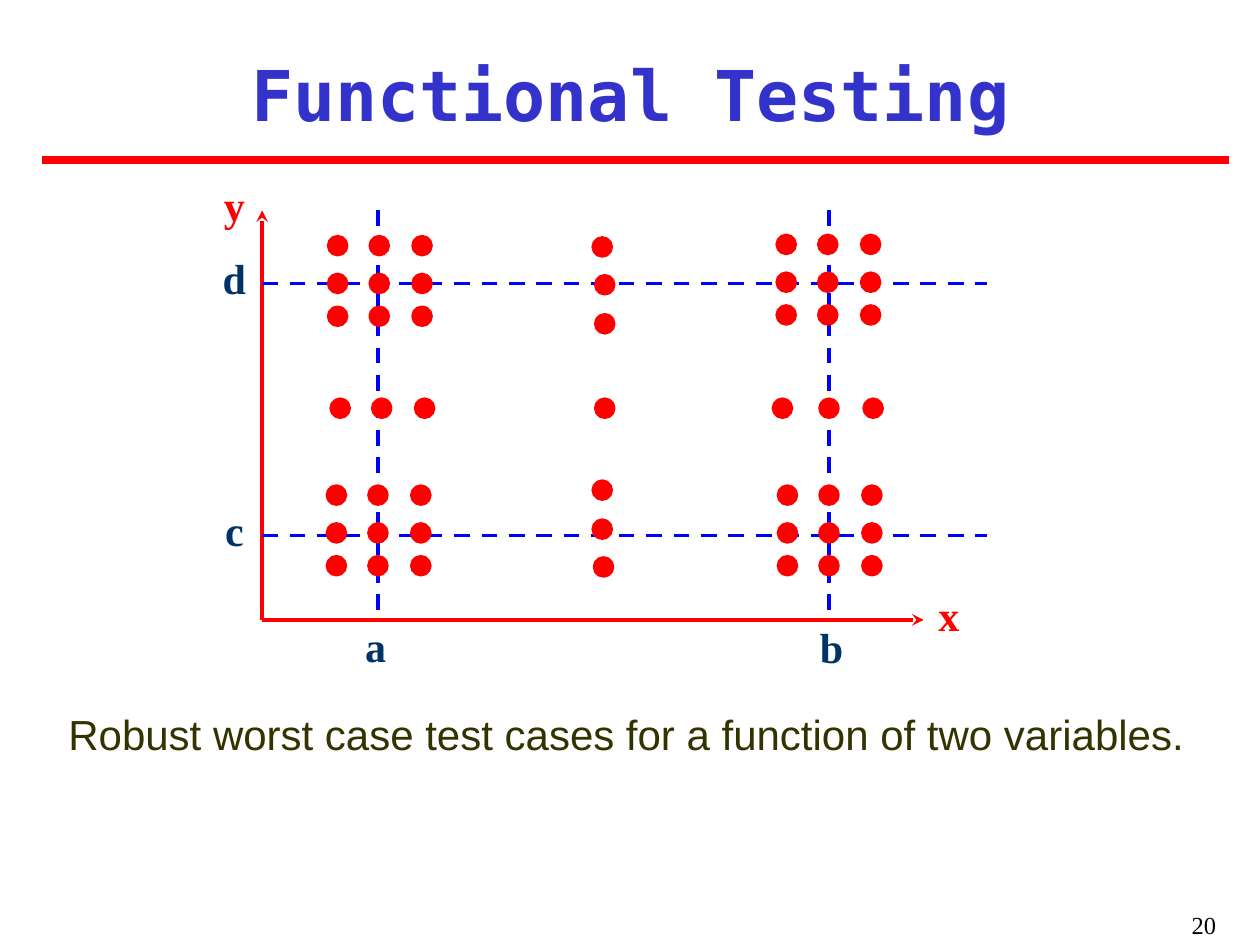
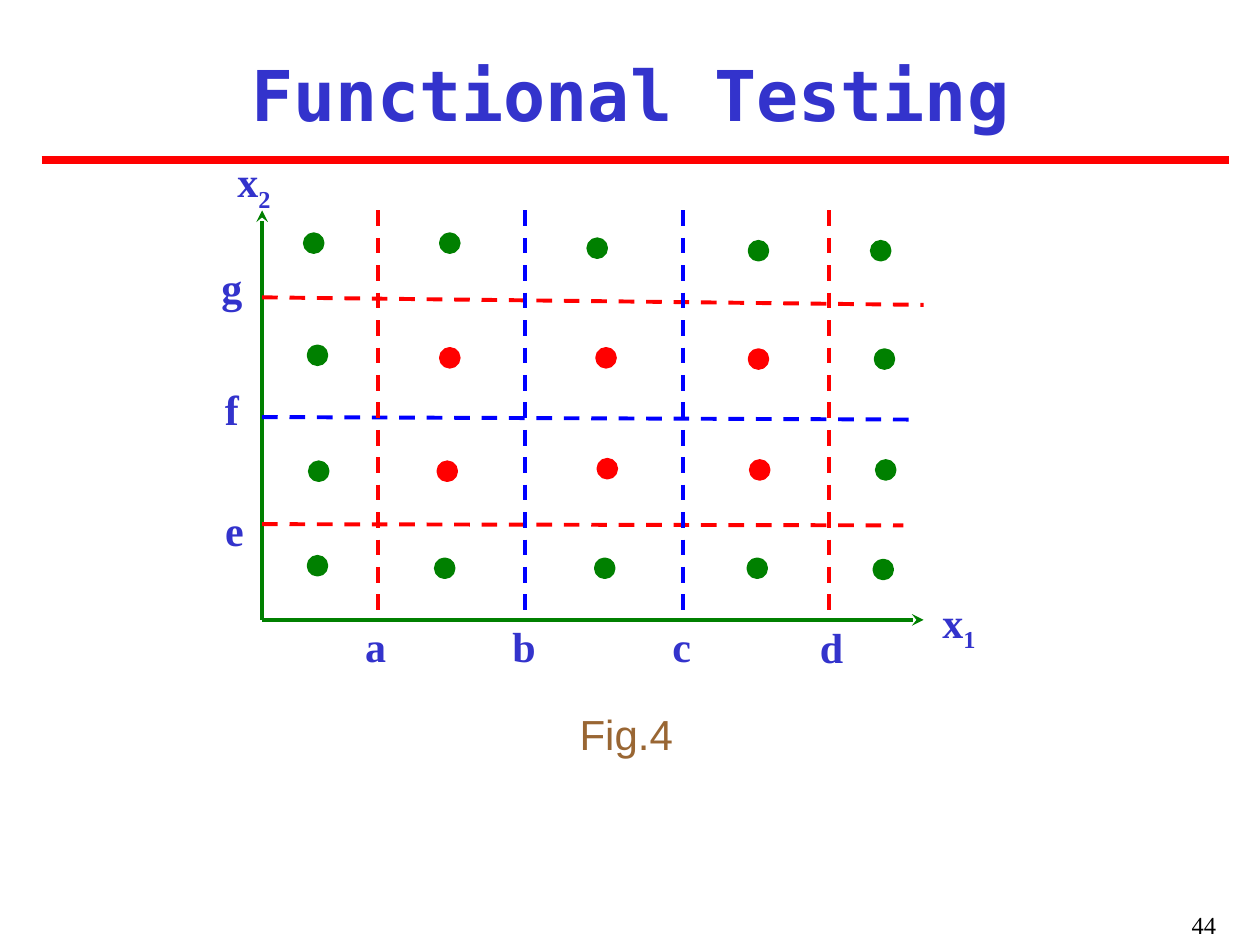
from dataclasses import dataclass
from itertools import product

from pptx import Presentation
from pptx import util as u
from pptx.dml.color import RGBColor
from pptx.enum import dml, shapes, text
from pptx.oxml.ns import qn
from lxml import etree


@dataclass(frozen=True)
class Theme:
    red: str = "FF0000"
    blue: str = "0000FF"
    green: str = "008000"
    indigo: str = "3333CC"
    navy: str = "003366"
    olive: str = "333300"
    brown: str = "996633"
    black: str = "000000"
    mono: str = "DejaVu Sans Mono"
    sans: str = "Arial"
    serif: str = "Times New Roman"
    title: int = 40
    body: int = 24
    page: int = 14
    rule: float = 4.5
    line: float = 2.25


T = Theme()
LEFT, TOP, BASE, RIGHT = 2.08, 1.67, 4.92, 7.33
DOT = 0.14
CENTER = text.PP_ALIGN.CENTER
MIDDLE = text.MSO_ANCHOR.MIDDLE


def rgb(color):
    return RGBColor.from_string(color)


def write(slide, box, words, size, face, color, bold=False, align=CENTER,
          anchor=MIDDLE, pad=(0, 0), sub=""):
    """Add a text box; pad is (sides, top and bottom), sub a subscript."""
    frame = slide.shapes.add_textbox(*map(u.Inches, box)).text_frame
    frame.word_wrap = True
    frame.vertical_anchor = anchor
    frame.margin_left = frame.margin_right = u.Inches(pad[0])
    frame.margin_top = frame.margin_bottom = u.Inches(pad[1])
    para = frame.paragraphs[0]
    para.text = words
    para.alignment = align
    if sub:
        run = para.add_run()
        run.text = sub
        run._r.get_or_add_rPr().set("baseline", "-25000")
    for run in para.runs:
        font = run.font
        font.size, font.name, font.bold = u.Pt(size), face, bold
        font.color.rgb = rgb(color)


def draw(slide, start, end, color, width=T.line, dash=False, arrow=False):
    ends = map(u.Inches, (*start, *end))
    link = slide.shapes.add_connector(shapes.MSO_CONNECTOR.STRAIGHT, *ends)
    link.line.color.rgb = rgb(color)
    link.line.width = u.Pt(width)
    if dash:
        link.line.dash_style = dml.MSO_LINE.DASH
    props = link._element.spPr
    if arrow:
        tip = etree.SubElement(props.find(qn("a:ln")), qn("a:tailEnd"))
        tip.set("type", "stealth")
    etree.SubElement(props, qn("a:effectLst"))


def dot(slide, x, y, color):
    box = map(u.Inches, (x, y, DOT, DOT))
    mark = slide.shapes.add_shape(shapes.MSO_SHAPE.OVAL, *box)
    mark.shadow.inherit = False
    mark.fill.solid()
    mark.fill.fore_color.rgb = rgb(color)
    mark.line.color.rgb = rgb(color)
    mark.line.width = u.Pt(T.line)


def label(slide, x, y, words, color, sub="", size=(0.22, 0.25)):
    write(slide, (x, y, *size), words, T.body, T.serif, color, True, sub=sub)


def axes(slide, color):
    draw(slide, (LEFT, BASE), (LEFT, TOP), color, arrow=True)
    draw(slide, (LEFT, BASE), (RIGHT, BASE), color, arrow=True)


def upright(slide, x, color):
    draw(slide, (x, TOP), (x, BASE), color, dash=True)


def level(slide, y, end, color):
    draw(slide, (LEFT, y), end, color, dash=True)


def frame(deck, caption, color, page):
    """Start a slide with the shared title, rule, caption and page number."""
    slide = deck.slides.add_slide(deck.slide_layouts[6])
    draw(slide, (0.33, 1.27), (9.75, 1.27), T.red, T.rule)
    write(slide, (0.25, 0.33, 9.5, 0.83), "Functional Testing", T.title,
          T.mono, T.indigo, True, pad=(0.02, 0.05))
    write(slide, (0.33, 5.62, 9.28, 0.4), caption, T.body, T.sans, color,
          anchor=text.MSO_ANCHOR.TOP)
    write(slide, (7.67, 7.17, 2.08, 0.33), page, T.page, T.serif, T.black,
          align=text.PP_ALIGN.RIGHT, anchor=text.MSO_ANCHOR.TOP,
          pad=(0.1, 0.05))
    return slide


def robust(deck):
    slide = frame(deck, "Robust worst case test cases for a function of two"
                  " variables.", T.olive, "20")
    label(slide, 7.42, 4.75, "x", T.red)
    label(slide, 1.75, 1.5, "y", T.red)
    for x, y, name in ((2.87, 5, "a"), (6.49, 5.01, "b"),
                       (1.75, 4.08, "c"), (1.75, 2.08, "d")):
        label(slide, x, y, name, T.navy)
    axes(slide, T.red)
    for y in (2.25, 4.25):
        level(slide, y, (7.83, y), T.blue)
    for x in (3, 6.58):
        upright(slide, x, T.blue)

    corners = ((2.61, 1.88), (6.17, 1.87), (2.6, 3.86), (6.18, 3.86))
    for (x, y), dx, dy in product(corners, (0, 0.33, 0.67), (0, 0.3, 0.56)):
        dot(slide, x + dx, y + dy, T.red)
    for x in (2.63, 2.96, 3.3, 4.73, 6.14, 6.51, 6.86):
        dot(slide, x, 3.17, T.red)
    for x, y in ((4.71, 1.89), (4.73, 2.19), (4.73, 2.5),
                 (4.71, 3.82), (4.71, 4.13), (4.72, 4.43)):
        dot(slide, x, y, T.red)


def classes(deck):
    slide = frame(deck, "Fig.4", T.brown, "44")
    label(slide, 7.42, 4.75, "x", T.indigo, "1", (0.38, 0.42))
    label(slide, 1.78, 1.34, "x", T.indigo, "2", (0.47, 0.25))
    for x, y, name in ((2.87, 5, "a"), (4.05, 5, "b"), (5.3, 5, "c"),
                       (6.49, 5.01, "d"), (1.75, 4.08, "e"),
                       (1.73, 3.12, "f"), (1.73, 2.15, "g")):
        label(slide, x, y, name, T.indigo)
    axes(slide, T.green)
    for y, end, color in ((2.36, (7.33, 2.42), T.red),
                          (4.16, (7.17, 4.17), T.red),
                          (3.31, (7.25, 3.33), T.blue)):
        level(slide, y, end, color)
    for x, color in ((3, T.red), (6.58, T.red),
                     (4.17, T.blue), (5.42, T.blue)):
        upright(slide, x, color)

    rows = (
        ((2.42, 1.86), (3.5, 1.86), (4.67, 1.9), (5.95, 1.92), (6.92, 1.92)),
        ((2.45, 2.75), (3.5, 2.77), (4.74, 2.77), (5.95, 2.78), (6.95, 2.78)),
        ((2.46, 3.67), (3.48, 3.67), (4.75, 3.65), (5.96, 3.66), (6.96, 3.66)),
        ((2.45, 4.42), (3.46, 4.44), (4.73, 4.44), (5.94, 4.44), (6.94, 4.45)),
    )
    for i, row in enumerate(rows):
        for j, (x, y) in enumerate(row):
            valid = i in (1, 2) and j in (1, 2, 3)
            dot(slide, x, y, T.red if valid else T.green)


def main():
    deck = Presentation()
    deck.slide_width, deck.slide_height = u.Inches(10), u.Inches(7.5)
    robust(deck)
    classes(deck)
    deck.save("out.pptx")


if __name__ == "__main__":
    main()
